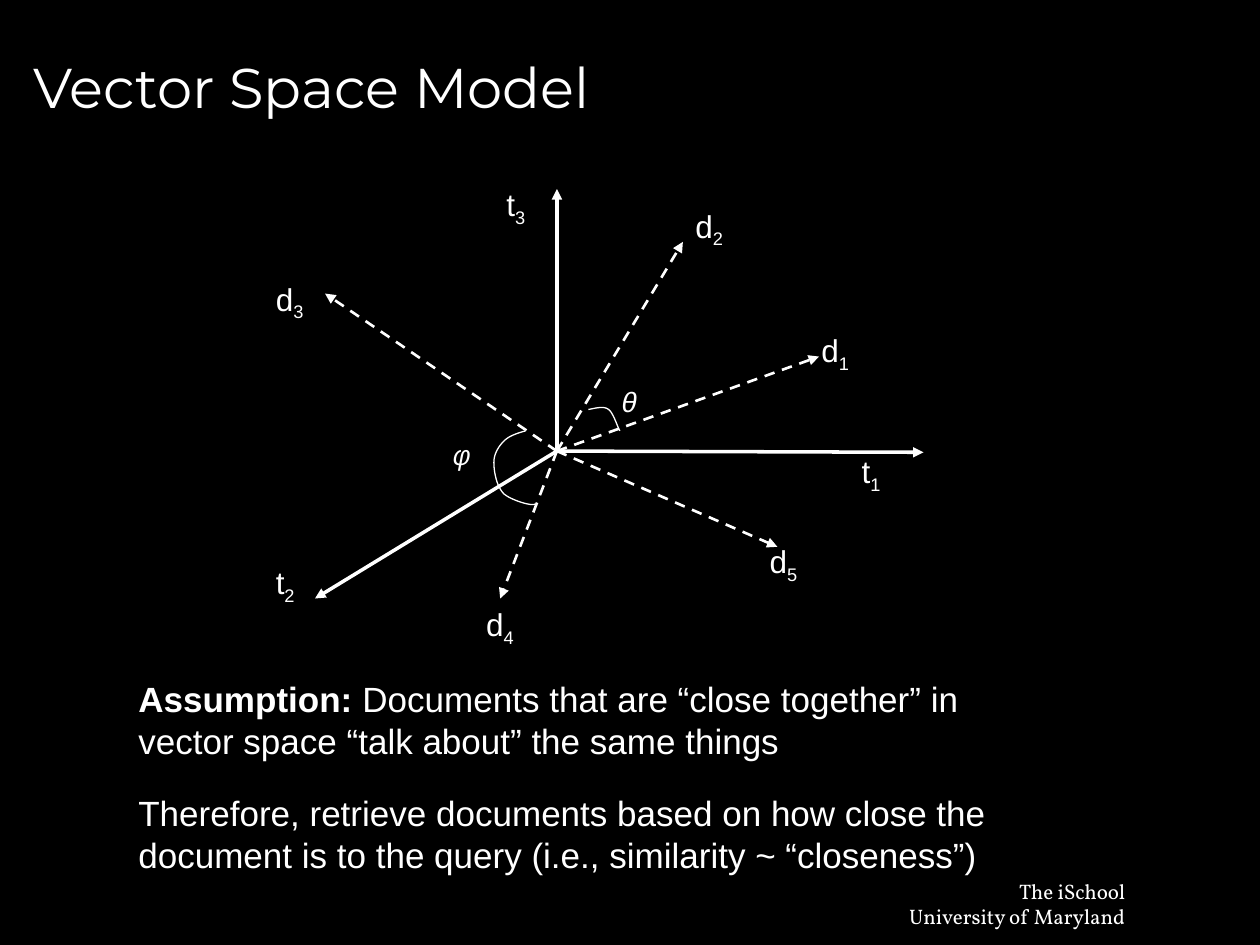
from lxml import etree
from pptx import Presentation
from pptx import util as u
from pptx.dml import color
from pptx.enum import dml, shapes, text
from pptx.oxml import ns

THEME = {
    "background": color.RGBColor(0, 0, 0),
    "ink": color.RGBColor(255, 255, 255),
    "title": {"name": "Montserrat", "size": u.Pt(32)},
    "body": {"name": "Arial", "size": u.Pt(20)},
    "label": {"name": "Arial", "size": u.Pt(18)},
    "angle": {"name": "Courier New", "size": u.Pt(16), "italic": True},
    "footer": {"name": "Vollkorn", "size": u.Pt(12)},
    "axis": {"width": u.Pt(2)},
    "document": {"width": u.Pt(1.5), "dash_style": dml.MSO_LINE.DASH},
    "arc": {"width": u.Pt(0.75)},
}


def add_text(box, paragraphs, style, wrap=True, align=text.PP_ALIGN.LEFT, anchor=text.MSO_ANCHOR.TOP):
    frame = slide.shapes.add_textbox(*map(u.Inches, box)).text_frame
    frame.word_wrap = wrap
    frame.vertical_anchor = anchor
    for index, runs in enumerate(paragraphs):
        paragraph = frame.add_paragraph() if index else frame.paragraphs[0]
        paragraph.alignment = align
        for content, extra in runs:
            run = paragraph.add_run()
            run.text = content
            run.font.color.rgb = THEME["ink"]
            for name, value in {**THEME[style], **extra}.items():
                if name == "baseline":
                    run._r.get_or_add_rPr().set(name, value)
                else:
                    setattr(run.font, name, value)


def style_line(shape, style):
    shape.line.color.rgb = THEME["ink"]
    for name, value in THEME[style].items():
        setattr(shape.line, name, value)


presentation = Presentation()
presentation.slide_width = u.Inches(10)
presentation.slide_height = u.Inches(7.5)
slide = presentation.slides.add_slide(presentation.slide_layouts[6])
slide.background.fill.solid()
slide.background.fill.fore_color.rgb = THEME["background"]

add_text((7.09, 6.92, 1.94, 0.5), [[("The iSchool", {})], [("University of Maryland", {})]],
         "footer", wrap=False, align=text.PP_ALIGN.RIGHT)
add_text((0.17, 0.12, 9.5, 1.12), [[("Vector Space Model", {})]], "title", anchor=text.MSO_ANCHOR.MIDDLE)
add_text((1, 5.33, 7.5, 0.77), [[
    ("Assumption: ", {"bold": True}),
    ("Documents that are “close together” in vector space “talk about” the same things", {}),
]], "body")

origin = (4.42, 3.58)
vectors = [
    ("axis", (7.33, 3.59), "t", "1", (6.74, 3.54)),
    ("axis", (4.42, 1.5), "t", "3", (3.92, 1.42)),
    ("axis", (2.5, 4.75), "t", "2", (2.09, 4.42)),
    ("document", (6.5, 2.83), "d", "1", (6.42, 2.58)),
    ("document", (6.17, 4.34), "d", "5", (6.01, 4.25)),
    ("document", (5.42, 1.92), "d", "2", (5.42, 1.59)),
    ("document", (3.97, 4.75), "d", "4", (3.76, 4.75)),
    ("document", (2.58, 2.33), "d", "3", (2.09, 2.17)),
]
label_widths = {"t": 0.35, "d": 0.42}
for style, tip, letter, number, corner in vectors:
    arrow = slide.shapes.add_connector(shapes.MSO_CONNECTOR.STRAIGHT, *map(u.Inches, origin + tip))
    style_line(arrow, style)
    etree.SubElement(arrow.line._get_or_add_ln(), ns.qn("a:tailEnd"), type="triangle")
    etree.SubElement(arrow._element.spPr, ns.qn("a:effectLst"))
    add_text((*corner, label_widths[letter], 0.44),
             [[(letter, {}), (number, {"baseline": "-25000"})]], "label", wrap=False)

angles = [
    ("θ", (4.83, 3), [(4.67, 3.25), (4.73, 3.24), (4.79, 3.22), (4.83, 3.25),
                      (4.87, 3.28), (4.9, 3.39), (4.92, 3.42)]),
    ("φ", (3.5, 3.42), [(4.17, 3.42), (4.1, 3.44), (4.04, 3.46), (4, 3.5),
                        (3.96, 3.54), (3.92, 3.6), (3.92, 3.67),
                        (3.92, 3.74), (3.94, 3.86), (4, 3.92),
                        (4.06, 3.97), (4.22, 4.02), (4.25, 4)]),
]
steps = 12
for symbol, corner, controls in angles:
    points = []
    for first in range(0, len(controls) - 1, 3):
        for step in range(1, steps + 1):
            t = step / steps
            weights = ((1 - t) ** 3, 3 * t * (1 - t) ** 2, 3 * t ** 2 * (1 - t), t ** 3)
            points.append([
                u.Inches(sum(weight * value for weight, value in zip(weights, values)))
                for values in zip(*controls[first:first + 4])
            ])
    builder = slide.shapes.build_freeform(*map(u.Inches, controls[0]))
    builder.add_line_segments(points, close=False)
    arc = builder.convert_to_shape()
    arc.shadow.inherit = False
    arc.fill.background()
    style_line(arc, "arc")
    add_text((*corner, 0.3, 0.37), [[(symbol, {})]], "angle")

add_text((1, 6.23, 7.5, 0.77), [[
    ("Therefore, retrieve documents based on how close the document is to the query "
     "(i.e., similarity ~ “closeness”)", {}),
]], "body")

presentation.save("out.pptx")
